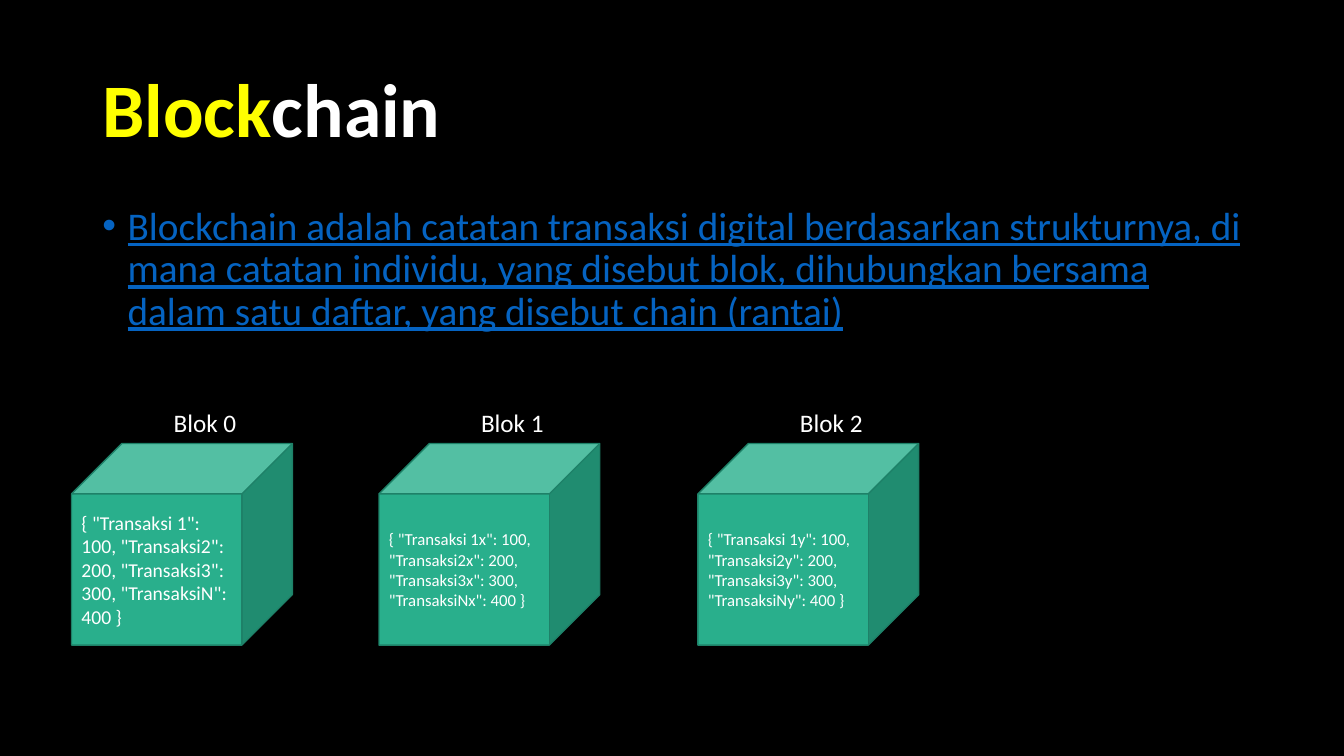
from pptx import Presentation
from pptx.dml.color import RGBColor
from pptx.enum.shapes import MSO_SHAPE
from pptx.enum.text import MSO_ANCHOR, PP_ALIGN
from pptx.util import Pt
from lxml import etree

CUBE = MSO_SHAPE.CUBE
LEFT, MID = PP_ALIGN.LEFT, PP_ALIGN.CENTER
TOP, CENTER = MSO_ANCHOR.TOP, MSO_ANCHOR.MIDDLE

# Content
TITLE = [("Block", "key"), ("chain", "text")]
BODY = [("Blockchain adalah catatan transaksi digital berdasarkan strukturnya, "
         "di mana catatan individu, yang disebut blok, dihubungkan bersama "
         "dalam satu daftar, yang disebut chain (rantai)", "link")]
# name, suffix of each key, text size, left edge
BLOCKS = [
    ("Blok 0", "", "large", 51.1),
    ("Blok 1", "x", "small", 270.7),
    ("Blok 2", "y", "small", 498.5),
]
KEYS = ["Transaksi 1", "Transaksi2", "Transaksi3", "TransaksiN"]

THEME = {
    "font": "Calibri",
    "color": {"back": "000000", "text": "FFFFFF", "key": "FFFF00",
              "link": "0563C1", "cube": "29AF8C", "edge": "1E8168"},
    "size": {"title": 54, "body": 28, "label": 18, "large": 14, "small": 12},
}

# Layout in points
WIDE, HIGH = 960, 540
EDGE, SPAN = 66, 828
CUBE_TOP, CUBE_W, CUBE_H = 316.8, 157.7, 144
LABEL_W, LABEL_H, SHIFT = 108, 29.1, 41.3


def color(name):
    return RGBColor.from_string(THEME["color"][name])


def place(shape, left, top, width, height):
    shape.left, shape.top = Pt(left), Pt(top)
    shape.width, shape.height = Pt(width), Pt(height)


def write(shape, runs, size, align=LEFT, anchor=TOP, bold=False,
          under=False, line=1.0, bullet=False):
    frame = shape.text_frame
    frame.word_wrap = True
    frame.vertical_anchor = anchor
    para = frame.paragraphs[0]
    if bullet:
        props = para._p.get_or_add_pPr()
        props.set("marL", str(Pt(18)))
        props.set("indent", str(Pt(-18)))
        space = props.nsmap["a"]
        etree.SubElement(props, f"{{{space}}}buFont", typeface="Arial")
        etree.SubElement(props, f"{{{space}}}buChar", char="•")
    para.alignment = align
    para.line_spacing = line
    para.space_before = Pt(0)
    for text, tint in runs:
        run = para.add_run()
        run.text = text
        font = run.font
        font.name, font.size = THEME["font"], Pt(THEME["size"][size])
        font.bold, font.underline = bold, under
        font.color.rgb = color(tint)


deck = Presentation()
deck.slide_width, deck.slide_height = Pt(WIDE), Pt(HIGH)
slide = deck.slides.add_slide(deck.slide_layouts[1])
fill = slide.background.fill
fill.solid()
fill.fore_color.rgb = color("back")

# Title and definition
title, body = slide.placeholders
place(title, EDGE, 28.8, SPAN, 104.4)
write(title, TITLE, "title", anchor=CENTER, bold=True, line=0.9)
place(body, EDGE, 144, SPAN, 114.5)
write(body, BODY, "body", under=True, line=0.9, bullet=True)

# Blocks with their labels
for name, mark, size, left in BLOCKS:
    cube = slide.shapes.add_shape(CUBE, Pt(left), Pt(CUBE_TOP),
                                  Pt(CUBE_W), Pt(CUBE_H))
    cube.shadow.inherit = False
    cube.fill.solid()
    cube.fill.fore_color.rgb = color("cube")
    cube.line.color.rgb = color("edge")
    cube.line.width = Pt(1)
    pairs = [f'"{key}{mark}": {100 * n}' for n, key in enumerate(KEYS, 1)]
    write(cube, [("{ " + ", ".join(pairs) + " }", "text")], size,
          anchor=CENTER)

    label = slide.shapes.add_textbox(Pt(left + SHIFT), Pt(CUBE_TOP - LABEL_H),
                                     Pt(LABEL_W), Pt(LABEL_H))
    write(label, [(name, "text")], "label", align=MID)

deck.save("out.pptx")
